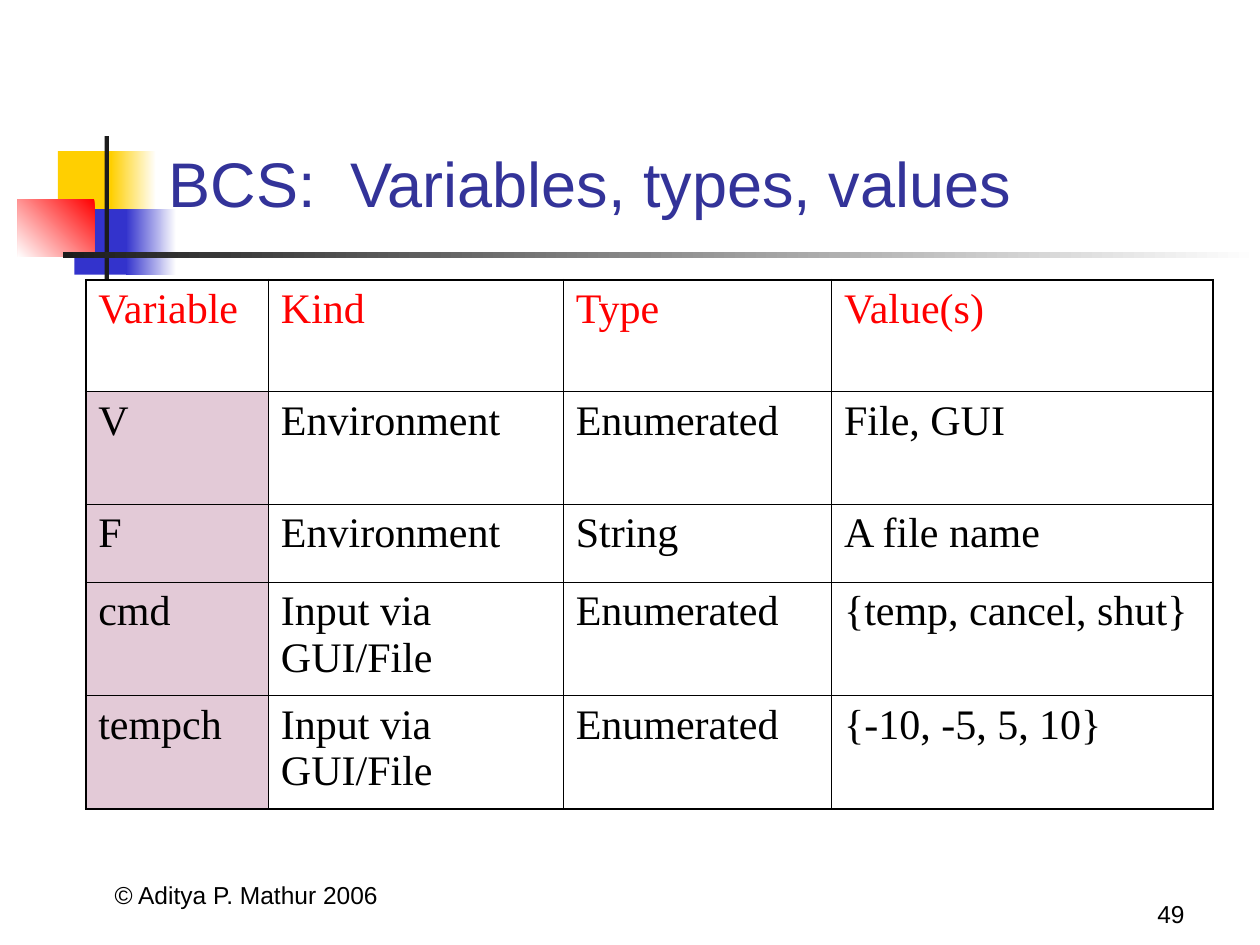
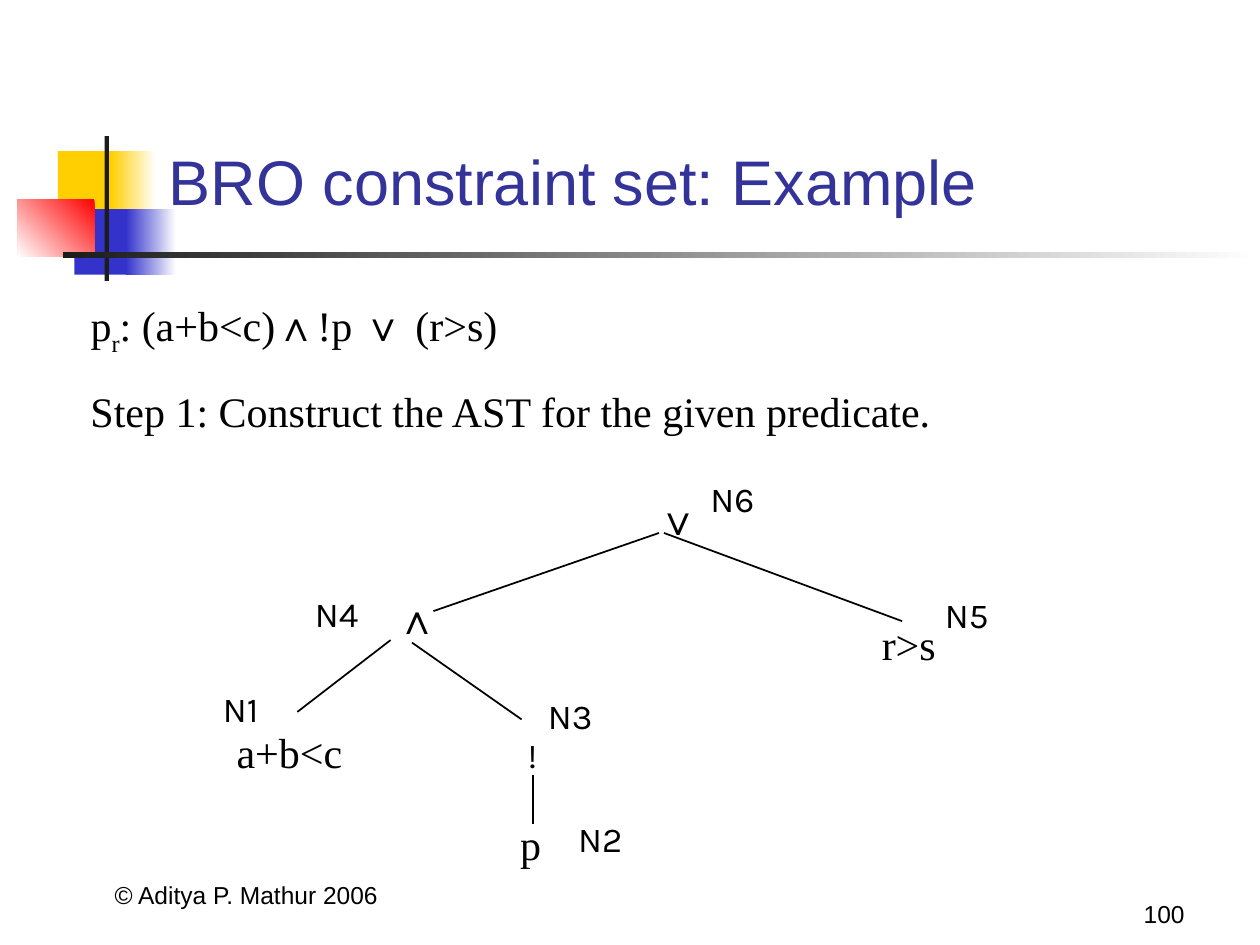
"""Build two lecture slides: a variable table and an abstract syntax tree."""
from lxml import etree
from pptx import Presentation
from pptx.dml.color import RGBColor
from pptx.enum.shapes import MSO_CONNECTOR, MSO_SHAPE
from pptx.enum.text import MSO_ANCHOR, PP_ALIGN
from pptx.oxml.ns import qn
from pptx.util import Inches, Pt

RECTANGLE = MSO_SHAPE.RECTANGLE
STRAIGHT = MSO_CONNECTOR.STRAIGHT
LEFT, CENTER, RIGHT = PP_ALIGN.LEFT, PP_ALIGN.CENTER, PP_ALIGN.RIGHT
TOP, BOTTOM = MSO_ANCHOR.TOP, MSO_ANCHOR.BOTTOM

SANS, SERIF, LABEL = "Arial", "Times New Roman", "Karla"
BLACK, WHITE, CHARCOAL = "000000", "FFFFFF", "1C1C1C"
YELLOW, BLUE, RED = "FFCF01", "3333CC", "FF0000"
TITLE_BLUE, PINK = "333399", "E3CAD7"
THIN, THICK = 0.45, 1.08

COLUMNS, ROWS = 100, 75
SLIDE_WIDTH, SLIDE_HEIGHT = Inches(10), Inches(7.5)


def color(code):
    """Turn a hex string into a colour."""
    return RGBColor.from_string(code)


def across(columns):
    """Turn grid columns into a length."""
    return round(SLIDE_WIDTH * columns / COLUMNS)


def down(rows):
    """Turn grid rows into a length."""
    return round(SLIDE_HEIGHT * rows / ROWS)


def place(left, top, width, height):
    """Turn a grid box into slide lengths."""
    return across(left), down(top), across(width), down(height)


class Deck:
    """Hold the presentation, its style and the current slide."""

    def __init__(self):
        """Start an empty presentation of the right size."""
        self.presentation = Presentation()
        self.presentation.slide_width = SLIDE_WIDTH
        self.presentation.slide_height = SLIDE_HEIGHT
        self.slide = None

    def new_slide(self, title, title_top, number):
        """Add a slide with the shared ornament, title and footers."""
        layout = self.presentation.slide_layouts[6]
        self.slide = self.presentation.slides.add_slide(layout)
        self.block((4.6, 12, 4.8, 5.2), YELLOW)
        self.block((8.8, 12, 3.6, 5.2), WHITE, YELLOW)
        self.block((5.9, 16.6, 4.6, 5.2), BLUE)
        self.block((10, 16.6, 4, 5.2), WHITE, BLUE)
        self.block((1.4, 15.8, 6.1, 4.6), RED, WHITE, 225)
        self.block((8.3, 10.8, 0.35, 11.5), CHARCOAL)
        self.block((5, 20, 95, 0.5), WHITE, CHARCOAL)
        self.text((3.7, 67.7, 31.7, 5), "© Aditya P. Mathur 2006", SANS, 14,
                  align=CENTER, anchor=BOTTOM)
        self.text((74.2, 69.2, 20.8, 5), number, SANS, 14,
                  align=RIGHT, anchor=BOTTOM)
        self.text((12.4, title_top, 85.2, 7.1), title, SANS, 36,
                  TITLE_BLUE, anchor=BOTTOM)

    def block(self, box, start, end=None, angle=180):
        """Add a plain rectangle, with a gradient if it has an end colour."""
        shape = self.slide.shapes.add_shape(RECTANGLE, *place(*box))
        shape.shadow.inherit = False
        shape.line.fill.background()
        if end is None:
            shape.fill.solid()
            shape.fill.fore_color.rgb = color(start)
            return
        shape.fill.gradient()
        shape.fill.gradient_angle = angle
        for position, (stop, code) in enumerate(
                zip(shape.fill.gradient_stops, (start, end))):
            stop.position = position
            stop.color.rgb = color(code)

    def style(self, paragraph, font, size, code):
        """Set the font of a whole paragraph."""
        paragraph.font.name = font
        paragraph.font.size = Pt(size)
        paragraph.font.color.rgb = color(code)

    def text(self, box, words, font=SERIF, size=24, code=BLACK,
             align=LEFT, anchor=TOP):
        """Add a one-paragraph text box and return its paragraph."""
        frame = self.slide.shapes.add_textbox(*place(*box)).text_frame
        frame.word_wrap = True
        frame.vertical_anchor = anchor
        paragraph = frame.paragraphs[0]
        paragraph.text = words
        paragraph.alignment = align
        self.style(paragraph, font, size, code)
        return paragraph

    def formula(self, box, parts):
        """Add a text box of runs given as words, font and baseline shift."""
        paragraph = self.text(box, "")
        for words, font, shift in parts:
            run = paragraph.add_run()
            run.text = words
            run.font.name = font
            if shift:
                run.font.size = Pt(24)
                run._r.get_or_add_rPr().set("baseline", str(shift * 1000))

    def line(self, start, end):
        """Add a thin black line between two grid points."""
        connector = self.slide.shapes.add_connector(
            STRAIGHT, across(start[0]), down(start[1]),
            across(end[0]), down(end[1]))
        connector.line.color.rgb = color(BLACK)
        connector.line.width = Pt(1)
        etree.SubElement(connector._element.spPr, qn("a:effectLst"))

    def border(self, cell, edge, width):
        """Draw one black edge of a cell."""
        properties = cell._tc.get_or_add_tcPr()
        line = etree.SubElement(properties, qn(f"a:ln{edge}"), w=str(Pt(width)))
        fill = etree.SubElement(line, qn("a:solidFill"))
        etree.SubElement(fill, qn("a:srgbClr"), val=BLACK)

    def table(self, left, top, widths, heights, rows):
        """Add a ruled table with a red header and a tinted first column."""
        box = place(left, top, sum(widths), sum(heights))
        table = self.slide.shapes.add_table(len(rows), len(widths), *box).table
        table.first_row = table.horz_banding = False
        for column, width in zip(table.columns, widths):
            column.width = across(width)
        for row, height in zip(table.rows, heights):
            row.height = down(height)
        for r, row in enumerate(rows):
            for c, words in enumerate(row):
                cell = table.cell(r, c)
                outer = {"L": c == 0, "R": c == len(widths) - 1,
                         "T": r == 0, "B": r == len(rows) - 1}
                for edge, is_outer in outer.items():
                    self.border(cell, edge, THICK if is_outer else THIN)
                if r and not c:
                    cell.fill.solid()
                    cell.fill.fore_color.rgb = color(PINK)
                else:
                    cell.fill.background()
                cell.text = words
                self.style(cell.text_frame.paragraphs[0], SERIF, 24,
                           BLACK if r else RED)


def variables_slide(deck):
    """Build the table of variables."""
    deck.new_slide("BCS:  Variables, types, values", 10.9, "49")
    deck.table(6.8, 22.2, (14.5, 23.4, 21.3, 30.3), (8.9, 8.9, 6.2, 9, 9), (
        ("Variable", "Kind", "Type", "Value(s)"),
        ("V", "Environment", "Enumerated", "File, GUI"),
        ("F", "Environment", "String", "A file name"),
        ("cmd", "Input via GUI/File", "Enumerated", "{temp, cancel, shut}"),
        ("tempch", "Input via GUI/File", "Enumerated", "{-10, -5, 5, 10}"),
    ))


def syntax_tree_slide(deck):
    """Build the predicate and its syntax tree."""
    deck.new_slide("BRO constraint set: Example", 10.7, "100")
    deck.formula((6.2, 23.3, 43.9, 5.6), (
        ("p", SERIF, 0), ("r", SERIF, -25), (": (a+b<c)", SERIF, 0),
        ("∧", SANS, 0), ("!p ", SERIF, 0), ("∨", SANS, 0),
        (" (r>s)", SERIF, 0)))
    deck.text((6.2, 30.1, 87.3, 5),
              "Step 1: Construct the AST for the given predicate.")

    nodes = (
        ("∨", 51.2, 38.7, 2, SANS, 24), ("∧", 30.5, 46.5, 3.1, SANS, 24),
        ("r>s", 69, 48.6, 7.4, SERIF, 24), ("a+b<c", 17.8, 57.2, 12.6, SERIF, 24),
        ("!", 40.9, 57.7, 2.7, LABEL, 20), ("p", 40.3, 64.5, 4, SERIF, 24))
    for words, left, top, width, font, size in nodes:
        deck.text((left, top, width, 5), words, font, size)

    branches = (
        ((52.3, 42.3), (34.4, 48.5)), ((52.7, 42.3), (71.6, 49.3)),
        ((31, 50.8), (23.6, 56.5)), ((32.7, 51), (41.4, 57.1)),
        ((42.3, 61.5), (42.3, 65.4)))
    for start, end in branches:
        deck.line(start, end)

    label_corners = ((16.7, 54.1), (44.9, 64.4), (42.5, 54.6),
                     (24, 46.5), (74, 46.6), (55.4, 37.4))
    for number, (left, top) in enumerate(label_corners, 1):
        deck.text((left, top, 6.1, 4.4), f"N{number}", LABEL, 20)


def main():
    """Build and save both slides."""
    deck = Deck()
    variables_slide(deck)
    syntax_tree_slide(deck)
    deck.presentation.save("out.pptx")


if __name__ == "__main__":
    main()
